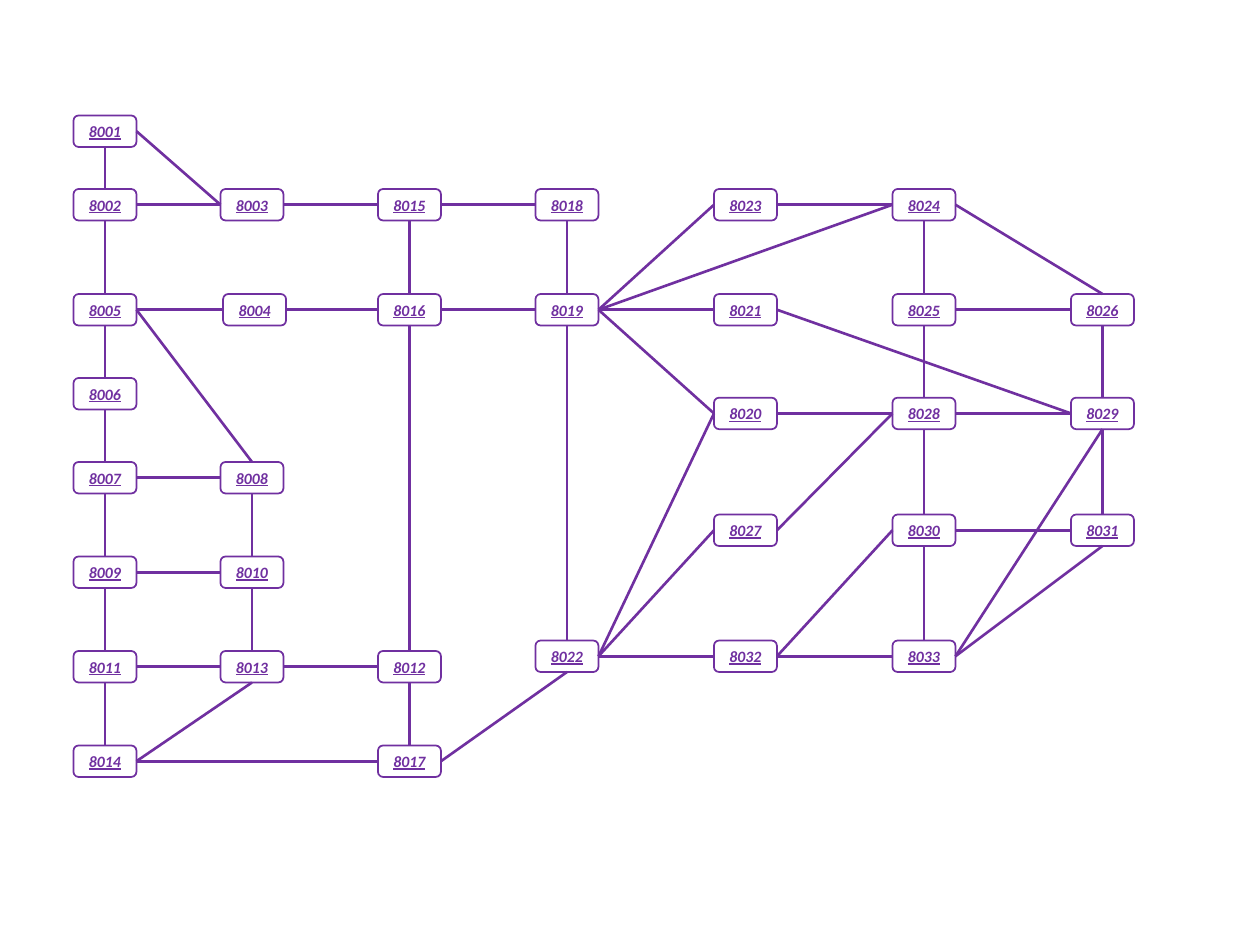
from dataclasses import dataclass
from itertools import pairwise

from pptx import Presentation
from pptx import util as u
from pptx.dml import color
from pptx.enum import shapes, text
from pptx.oxml import ns


@dataclass(frozen=True)
class Theme:
    purple: color.RGBColor = color.RGBColor(0x70, 0x30, 0xA0)
    font: str = "Calibri"
    label_size: float = 9
    box_line: float = 1
    link_line: float = 1.5
    box_width: float = 36
    box_height: float = 18


TOP, LEFT, BOTTOM, RIGHT = range(4)  # connection sites of a box


class Diagram:
    def __init__(self, slide, theme):
        self.s, self.theme, self.boxes = slide, theme, {}

    def box(self, label, left, top):
        t = self.theme
        sp = self.s.shapes.add_shape(
            shapes.MSO_SHAPE.ROUNDED_RECTANGLE,
            u.Pt(left), u.Pt(top), u.Pt(t.box_width), u.Pt(t.box_height))
        sp.shadow.inherit = False
        sp.fill.background()
        sp.line.color.rgb = t.purple
        sp.line.width = u.Pt(t.box_line)
        tf = sp.text_frame
        tf.vertical_anchor = text.MSO_ANCHOR.MIDDLE
        p = tf.paragraphs[0]
        p.alignment = text.PP_ALIGN.CENTER
        r = p.add_run()
        r.text = str(label)
        f = r.font
        f.name, f.size, f.color.rgb = t.font, u.Pt(t.label_size), t.purple
        f.bold = f.italic = f.underline = True
        self.boxes[label] = sp

    def site(self, label, side):
        sp = self.boxes[label]
        across, down = {TOP: (1, 0), LEFT: (0, 1), BOTTOM: (1, 2), RIGHT: (2, 1)}[side]
        return sp.left + sp.width * across // 2, sp.top + sp.height * down // 2

    def link(self, start, end, start_site, end_site):
        c = self.s.shapes.add_connector(
            shapes.MSO_CONNECTOR.STRAIGHT,
            *self.site(start, start_site), *self.site(end, end_site))
        c.begin_connect(self.boxes[start], start_site)
        c.end_connect(self.boxes[end], end_site)
        c.line.color.rgb = self.theme.purple
        c.line.width = u.Pt(self.theme.link_line)
        sp_pr = c._element.spPr
        sp_pr.append(sp_pr.makeelement(ns.qn("a:effectLst"), {}))

    def chain(self, labels, start_site, end_site):
        for start, end in pairwise(labels):
            self.link(start, end, start_site, end_site)


# Nodes: left edge of each column, then top edge of each node
COLUMNS = {
    42: {8001: 66, 8002: 108, 8005: 168, 8006: 216, 8007: 264,
         8009: 318, 8011: 372, 8014: 426},
    126: {8003: 108, 8008: 264, 8010: 318, 8013: 372},
    127.5: {8004: 168},
    216: {8015: 108, 8016: 168, 8012: 372, 8017: 426},
    306: {8018: 108, 8019: 168, 8022: 366},
    408: {8023: 108, 8021: 168, 8020: 227.25, 8027: 294, 8032: 366},
    510: {8024: 108, 8025: 168, 8028: 227.25, 8030: 294, 8033: 366},
    612: {8026: 168, 8029: 227.25, 8031: 294},
}

# Links: runs down a column, runs along a row, and slanted links
DOWN = [
    list(COLUMNS[42]), [8008, 8010, 8013], list(COLUMNS[216]),
    list(COLUMNS[306]), list(COLUMNS[510]), list(COLUMNS[612]),
]
ACROSS = [
    [8002, 8003, 8015, 8018], [8005, 8004, 8016, 8019, 8021],
    [8007, 8008], [8009, 8010], [8011, 8013, 8012], [8014, 8017],
    [8023, 8024], [8025, 8026], [8020, 8028, 8029], [8030, 8031],
    [8022, 8032, 8033],
]
SLANTED = [
    [8001, 8003], [8019, 8023], [8019, 8024], [8019, 8020], [8021, 8029],
    [8022, 8020], [8022, 8027], [8027, 8028], [8032, 8030],
]
TO_TOP = [[8005, 8008], [8024, 8026]]
TO_BOTTOM = [[8014, 8013], [8017, 8022], [8033, 8029], [8033, 8031]]

# Slide
prs = Presentation()
prs.slide_width, prs.slide_height = u.Pt(720), u.Pt(540)
diagram = Diagram(prs.slides.add_slide(prs.slide_layouts[6]), Theme())

for left, column in COLUMNS.items():
    for label, top in column.items():
        diagram.box(label, left, top)

for chains, start_site, end_site in (
        (DOWN, BOTTOM, TOP), (ACROSS + SLANTED, RIGHT, LEFT),
        (TO_TOP, RIGHT, TOP), (TO_BOTTOM, RIGHT, BOTTOM)):
    for labels in chains:
        diagram.chain(labels, start_site, end_site)

prs.save("out.pptx")
